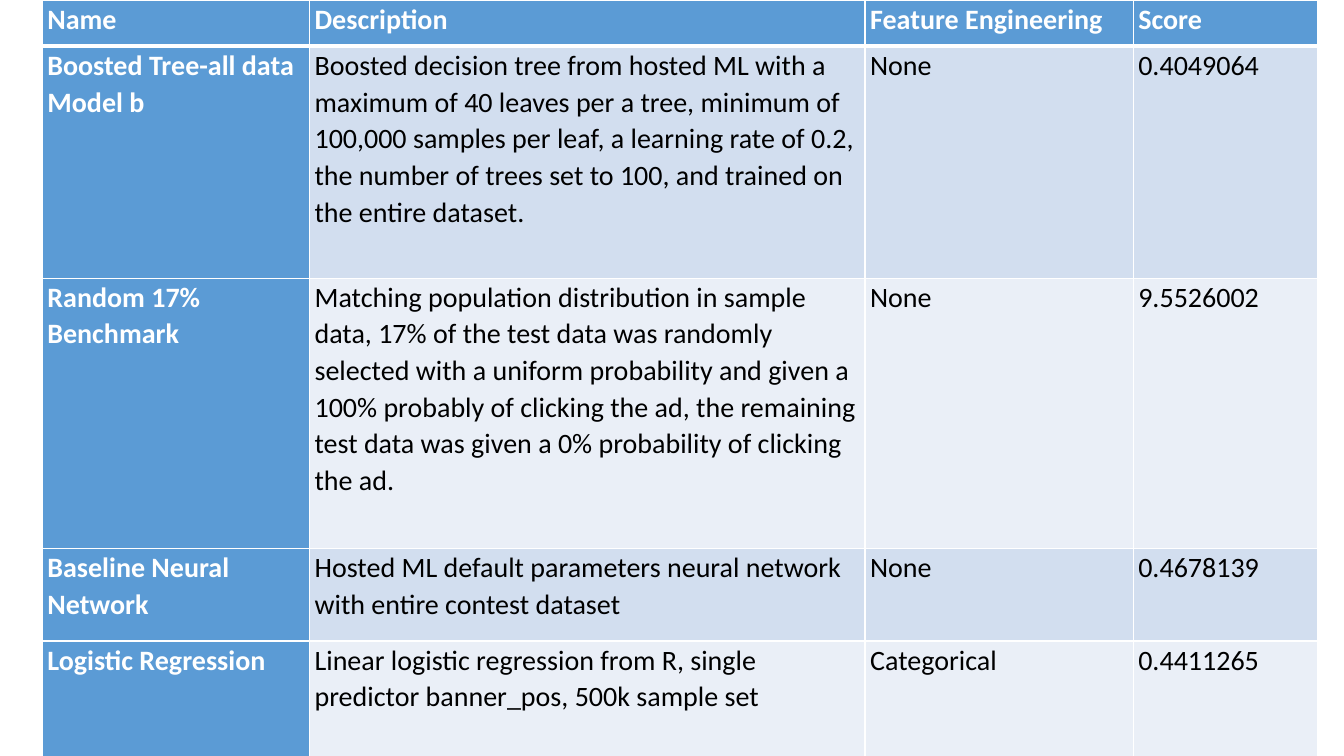
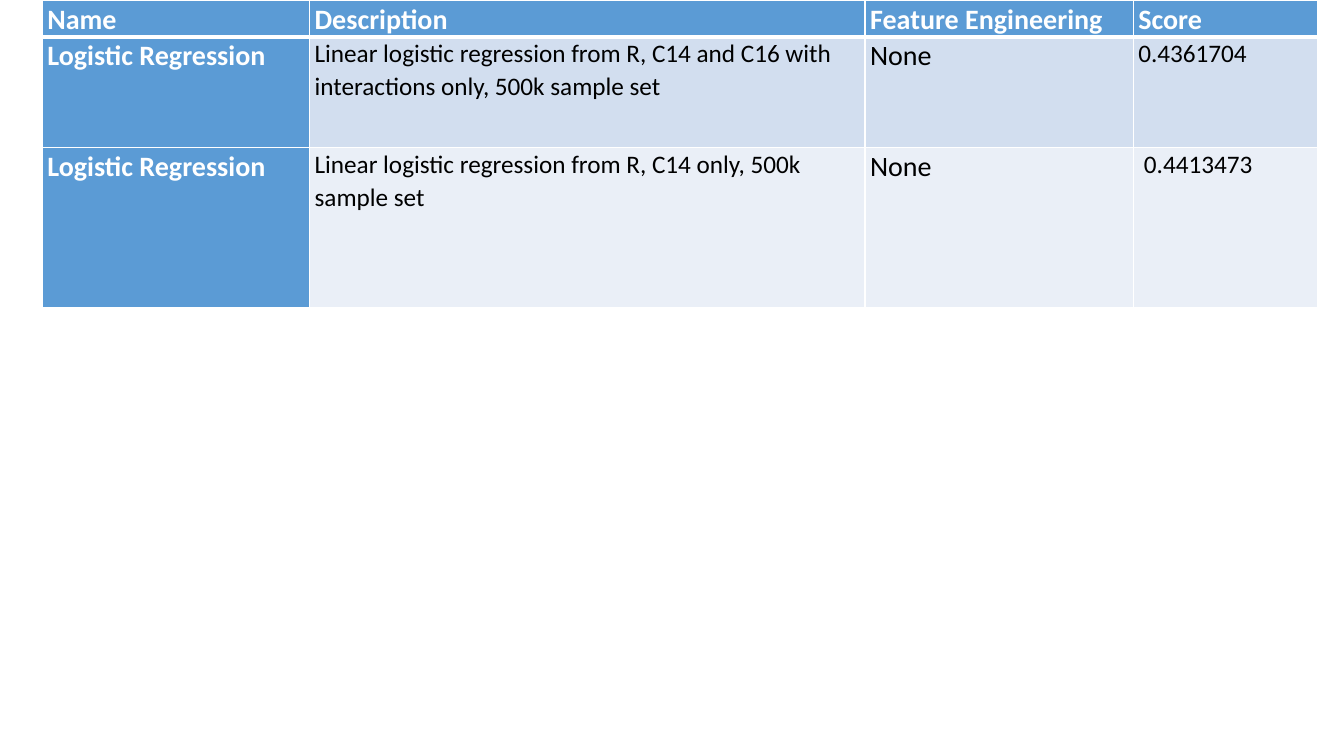
import pptx
import pptx.util
import pptx.dml.color
import pptx.oxml
import pptx.oxml.ns

Inches, Pt = pptx.util.Inches, pptx.util.Pt
RGB = pptx.dml.color.RGBColor

WHITE = RGB(0xFF, 0xFF, 0xFF)
BLACK = RGB(0x00, 0x00, 0x00)
BLUE = RGB(0x5B, 0x9B, 0xD5)
BANDS = (RGB(0xD2, 0xDE, 0xEF), RGB(0xEA, 0xEF, 0xF7))

FONT = "Calibri"
LEFT = 0.42
WIDTHS = (2.65, 5.51, 2.66, 1.83)
HEAD = ("Name", "Description", "Feature Engineering", "Score")

# Each slide: row heights, text size of each column, model rows
SLIDES = [
    {
        "heights": (0.46, 2.3, 2.68, 0.92, 1.15),
        "sizes": (20, 20, 20, 20),
        "models": [
            ("Boosted Tree-all data Model b",
             "Boosted decision tree from hosted ML with a maximum of 40 leaves "
             "per a tree, minimum of 100,000 samples per leaf, a learning rate "
             "of 0.2, the number of trees set to 100, and trained on the "
             "entire dataset.",
             "None", "0.4049064"),
            ("Random 17% Benchmark",
             "Matching population distribution in sample data, 17% of the test "
             "data was randomly selected with a uniform probability and given "
             "a 100% probably of clicking the ad, the remaining test data was "
             "given a 0% probability of clicking the ad.",
             "None", "9.5526002"),
            ("Baseline Neural Network",
             "Hosted ML default parameters neural network with entire contest "
             "dataset",
             "None", "0.4678139"),
            ("Logistic Regression",
             "Linear logistic regression from R, single predictor banner_pos, "
             "500k sample set",
             "Categorical", "0.4411265"),
        ],
    },
    {
        "heights": (0.36, 1.1, 1.59),
        "sizes": (20, 18, 20, 18),
        "models": [
            ("Logistic Regression",
             "Linear logistic regression from R, C14 and C16 with interactions "
             "only, 500k sample set",
             "None", "0.4361704"),
            ("Logistic Regression",
             "Linear logistic regression from R, C14 only, 500k sample set",
             "None", " 0.4413473"),
        ],
    },
]


def add_edges(cell, top, bottom):
    """Draw white borders; top and bottom are widths in points."""
    props = cell._tc.get_or_add_tcPr()
    space = pptx.oxml.ns.nsdecls("a")
    for side, width in (("L", 1), ("R", 1), ("T", top), ("B", bottom)):
        props.append(pptx.oxml.parse_xml(
            f'<a:ln{side} {space} w="{Pt(width)}"><a:solidFill>'
            f'<a:srgbClr val="{WHITE}"/></a:solidFill></a:ln{side}>'))


def fill_cell(cell, text, size, row, col):
    label = row == 0 or col == 0
    add_edges(cell, 3 if row == 1 else 1, 3 if row == 0 else 1)
    cell.fill.solid()
    cell.fill.fore_color.rgb = BLUE if label else BANDS[(row - 1) % 2]
    cell.margin_left = cell.margin_right = Inches(0.05)
    cell.margin_top = cell.margin_bottom = 0
    cell.text_frame.text = text
    para = cell.text_frame.paragraphs[0]
    para.line_spacing = 1.07
    font = para.runs[0].font
    font.name, font.size, font.bold = FONT, Pt(size), label
    font.color.rgb = WHITE if label else BLACK


def add_scores(slide, heights, sizes, models):
    rows = [HEAD] + models
    table = slide.shapes.add_table(
        len(rows), len(HEAD), Inches(LEFT), 0,
        Inches(sum(WIDTHS)), Inches(sum(heights))).table
    table.first_col = True
    for column, width in zip(table.columns, WIDTHS):
        column.width = Inches(width)
    for row, (texts, height) in enumerate(zip(rows, heights)):
        table.rows[row].height = Inches(height)
        for col, text in enumerate(texts):
            size = sizes[col] if row else 20
            fill_cell(table.cell(row, col), text, size, row, col)


def main():
    deck = pptx.Presentation()
    deck.slide_width, deck.slide_height = Inches(13.33), Inches(7.5)
    blank = deck.slide_layouts[6]
    for page in SLIDES:
        add_scores(deck.slides.add_slide(blank), **page)
    deck.save("out.pptx")


if __name__ == "__main__":
    main()
